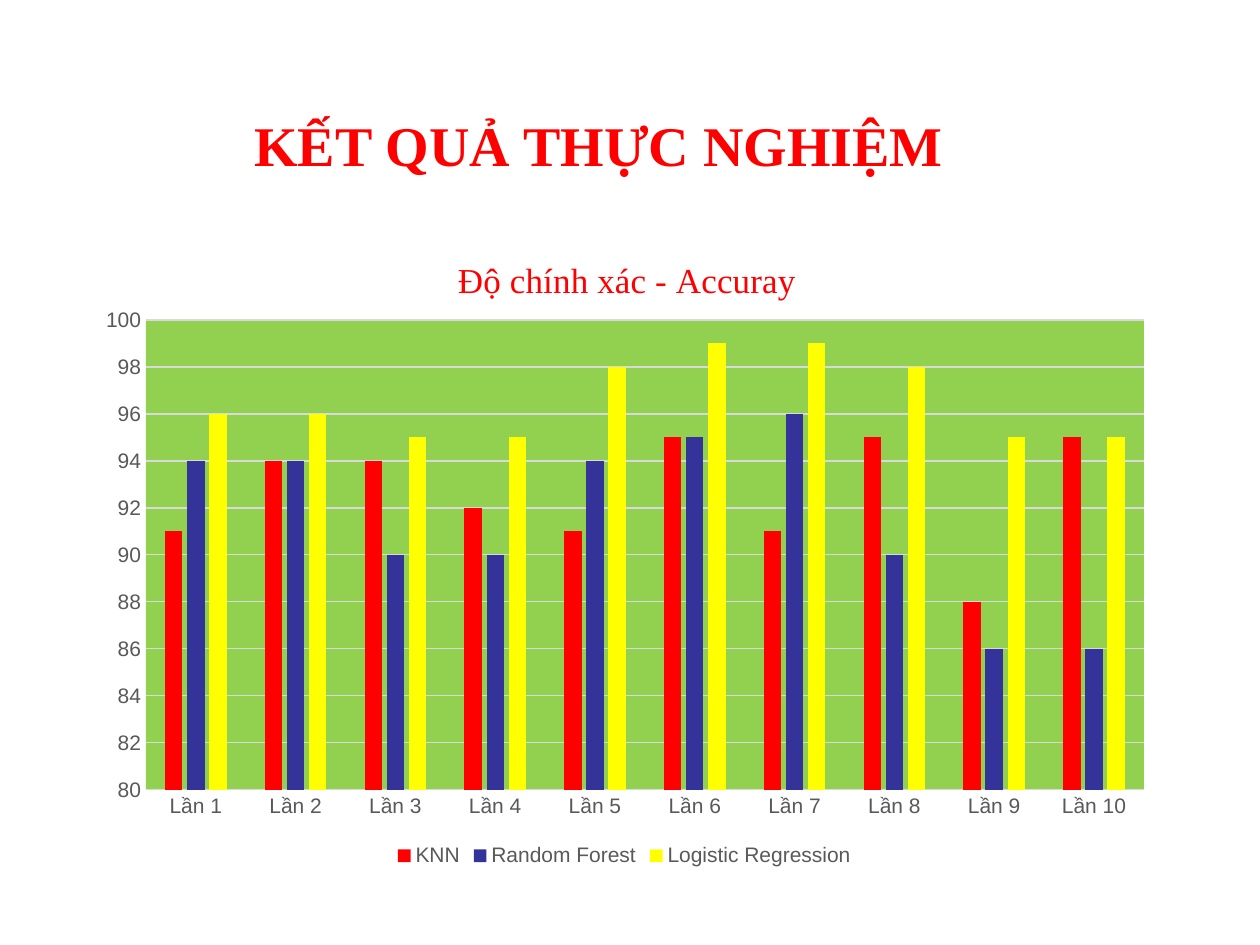
from lxml.etree import SubElement
from pptx import Presentation
from pptx.chart.data import CategoryChartData as ChartData
from pptx.dml.color import RGBColor as RGB
from pptx.enum.chart import XL_CHART_TYPE as Kind, XL_LEGEND_POSITION as Place, XL_TICK_MARK as Tick
from pptx.enum.text import MSO_ANCHOR as Anchor, PP_ALIGN as Align
from pptx.oxml import parse_xml
from pptx.oxml.ns import qn
from pptx.util import Emu, Pt

SCALE = 914400 // 126
RED = RGB(0xFF, 0, 0)
NAVY = RGB(0x33, 0x33, 0x99)
YELLOW = RGB(0xFF, 0xFF, 0)
GREEN = RGB(0x92, 0xD0, 0x50)
GRAY = RGB(0x59, 0x59, 0x59)
SILVER = RGB(0xD9, 0xD9, 0xD9)
SERIF = "Times New Roman"
SANS = "Arial"
CHART_BOX = (84, 226, 1081, 646)

SERIES = [
    ("KNN", RED, (91, 94, 94, 92, 91, 95, 91, 95, 88, 95)),
    ("Random Forest", NAVY, (94, 94, 90, 90, 94, 95, 96, 90, 86, 86)),
    ("Logistic Regression", YELLOW, (96, 96, 95, 95, 98, 99, 99, 98, 95, 95)),
]


def px(n):
    return Emu(n * SCALE)


def set_font(font, name=SANS, size=12, color=GRAY, bold=False):
    font.name = name
    font.size = Pt(size)
    font.bold = bold
    font.color.rgb = color


def put_text(frame, text, align=Align.LEFT, **style):
    par = frame.paragraphs[0]
    par.alignment = align
    run = par.add_run()
    run.text = text
    set_font(run.font, **style)


def add_title(slide, text, box):
    frame = slide.shapes.add_textbox(*map(px, box)).text_frame
    frame.word_wrap = True
    frame.vertical_anchor = Anchor.TOP
    frame.margin_top = px(72)
    put_text(frame, text, name=SERIF, size=32, color=RED, bold=True)


def pin(node, index, **marks):
    for old in node.findall(qn("c:layout")):
        node.remove(old)
    layout = parse_xml(
        '<c:layout xmlns:c="http://schemas.openxmlformats.org/drawingml/2006/chart"/>'
    )
    node.insert(index, layout)
    manual = SubElement(layout, qn("c:manualLayout"))
    for tag, val in marks.items():
        SubElement(manual, qn(f"c:{tag}")).set("val", str(val))


def fill_plot(area, color):
    props = SubElement(area, qn("c:spPr"))
    fill = SubElement(props, qn("a:solidFill"))
    SubElement(fill, qn("a:srgbClr")).set("val", str(color))


def set_line(line):
    line.color.rgb = SILVER
    line.width = Pt(0.75)


def style_axes(chart):
    cat, val = chart.category_axis, chart.value_axis
    for axis in (cat, val):
        axis.major_tick_mark = axis.minor_tick_mark = Tick.NONE
        set_font(axis.tick_labels.font)
    set_line(cat.format.line)
    val.format.line.fill.background()
    val.minimum_scale, val.maximum_scale, val.major_unit = 80, 100, 2
    val.has_major_gridlines = True
    set_line(val.major_gridlines.format.line)


def add_bars(slide, title, box):
    data = ChartData()
    data.categories = [f"Lần {n}" for n in range(1, 11)]
    for name, _, vals in SERIES:
        data.add_series(name, vals)
    chart = slide.shapes.add_chart(Kind.COLUMN_CLUSTERED, *map(px, box), data).chart
    set_font(chart.font, size=10)

    chart.has_title = True
    head = chart.chart_title
    put_text(head.text_frame, title, align=Align.CENTER, name=SERIF, size=20, color=RED)
    head.include_in_layout = False
    pin(head._element, 1, xMode="edge", yMode="edge", x=0.34, y=0.04)

    chart.has_legend = True
    chart.legend.position = Place.BOTTOM
    chart.legend.include_in_layout = False
    set_font(chart.legend.font)

    style_axes(chart)
    plot = chart.plots[0]
    plot.gap_width, plot.overlap = 219, -27
    plot.vary_by_categories = False
    for bar, (_, color, _) in zip(plot.series, SERIES):
        bar.invert_if_negative = False
        bar.format.fill.solid()
        bar.format.fill.fore_color.rgb = color

    left, top, wide, high = box
    area = chart._chartSpace.chart.plotArea
    pin(area, 0, layoutTarget="inner", xMode="edge", yMode="edge",
        x=(146 - left) / wide, y=(320 - top) / high, w=998 / wide, h=470 / high)
    fill_plot(area, GREEN)


def main():
    deck = Presentation()
    deck.slide_width, deck.slide_height = px(1260), px(945)
    slide = deck.slides.add_slide(deck.slide_layouts[6])
    add_title(slide, "KẾT QUẢ THỰC NGHIỆM", (242, 39, 976, 130))
    add_bars(slide, "Độ chính xác - Accuray", CHART_BOX)
    deck.save("out.pptx")


if __name__ == "__main__":
    main()
